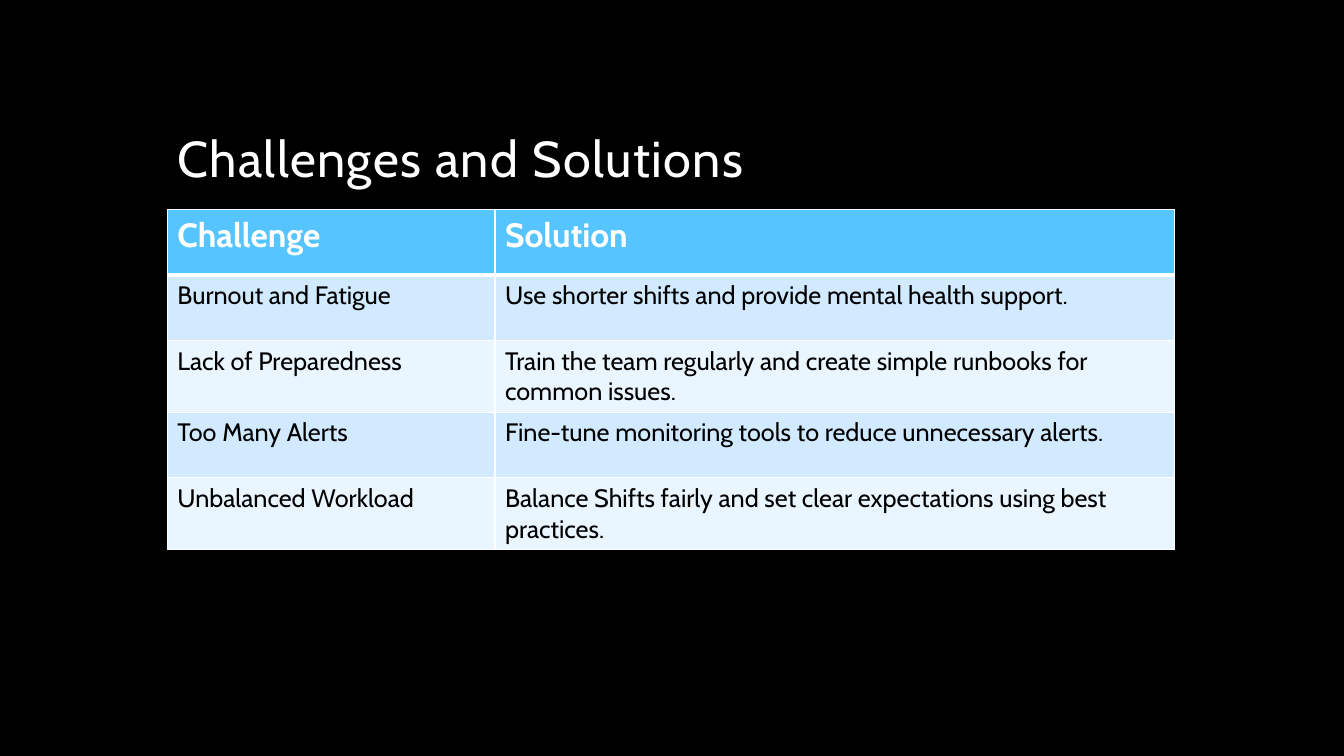
from dataclasses import dataclass

from lxml import etree
from pptx import Presentation
from pptx import util as u
from pptx.dml.color import RGBColor
from pptx.enum import text
from pptx.oxml.ns import qn


@dataclass(frozen=True)
class Theme:
    font: str = "Cabin"
    background: str = "000000"
    light: str = "FFFFFF"
    dark: str = "000000"
    header: str = "56C5FF"
    bands: tuple = ("D1EAFF", "E9F5FF")
    title_size: int = 36
    header_size: int = 24
    body_size: int = 18
    rule: int = 1
    header_rule: int = 3


THEME = Theme()
WIDTH, HEIGHT = u.Inches(13.33), u.Inches(7.5)
LEFT = u.Inches(1.66)
TABLE_TOP = u.Inches(2.08)
COLUMNS = (u.Inches(3.25), u.Inches(6.74))
ROW = u.Inches(0.65)
ROWS = [
    ("Challenge", "Solution"),
    ("Burnout and Fatigue",
     "Use shorter shifts and provide mental health support."),
    ("Lack of Preparedness",
     "Train the team regularly and create simple runbooks for common issues."),
    ("Too Many Alerts",
     "Fine-tune monitoring tools to reduce unnecessary alerts."),
    ("Unbalanced Workload",
     "Balance Shifts fairly and set clear expectations using best practices."),
]


def fill_solid(fill, color):
    fill.solid()
    fill.fore_color.rgb = RGBColor.from_string(color)


def write(frame, words, *, size, color, bold=False, tracking=0,
          line_spacing=None):
    """Put one formatted paragraph in a text frame; tracking is in points."""
    para = frame.paragraphs[0]
    para.alignment = text.PP_ALIGN.LEFT
    para.line_spacing = line_spacing
    span = para.add_run()
    span.text = words
    span.font.name = THEME.font
    span.font.size = u.Pt(size)
    span.font.bold = bold
    span.font.color.rgb = RGBColor.from_string(color)
    if tracking:
        span.font._element.set("spc", str(tracking * 100))


def set_borders(cell, widths):
    """Draw cell sides; widths maps L, R, T and B to points."""
    properties = cell._tc.get_or_add_tcPr()
    for place, side in enumerate("LRTB"):
        line = etree.Element(qn(f"a:ln{side}"), w=str(u.Pt(widths[side])))
        solid = etree.SubElement(line, qn("a:solidFill"))
        etree.SubElement(solid, qn("a:srgbClr"), val=THEME.light)
        properties.insert(place, line)


def add_title(page, words):
    title = page.shapes.title
    title.left, title.top = LEFT, u.Inches(0.42)
    title.width, title.height = u.Inches(10), u.Inches(1.5)
    frame = title.text_frame
    frame.auto_size = text.MSO_AUTO_SIZE.NONE
    frame.vertical_anchor = text.MSO_ANCHOR.BOTTOM
    write(frame, words, size=THEME.title_size, color=THEME.light,
          tracking=1, line_spacing=0.9)


def style_cell(cell, words, row):
    is_header = row == 0
    fill_solid(cell.fill,
               THEME.header if is_header else THEME.bands[(row - 1) % 2])
    write(cell.text_frame, words, bold=is_header,
          size=THEME.header_size if is_header else THEME.body_size,
          color=THEME.light if is_header else THEME.dark)
    widths = dict.fromkeys("LRTB", THEME.rule)
    if is_header:
        widths["B"] = THEME.header_rule
    elif row == 1:
        widths["T"] = THEME.header_rule
    set_borders(cell, widths)


def add_table(page, rows):
    table = page.shapes.add_table(len(rows), len(COLUMNS), LEFT, TABLE_TOP,
                                  sum(COLUMNS), ROW * len(rows)).table
    for column, width in zip(table.columns, COLUMNS):
        column.width = width
    for r, entries in enumerate(rows):
        table.rows[r].height = ROW
        for c, words in enumerate(entries):
            style_cell(table.cell(r, c), words, r)


def main():
    deck = Presentation()
    deck.slide_width, deck.slide_height = WIDTH, HEIGHT
    page = deck.slides.add_slide(deck.slide_layouts.get_by_name("Title Only"))
    fill_solid(page.background.fill, THEME.background)
    add_title(page, "Challenges and Solutions")
    add_table(page, ROWS)
    deck.save("out.pptx")


if __name__ == "__main__":
    main()
